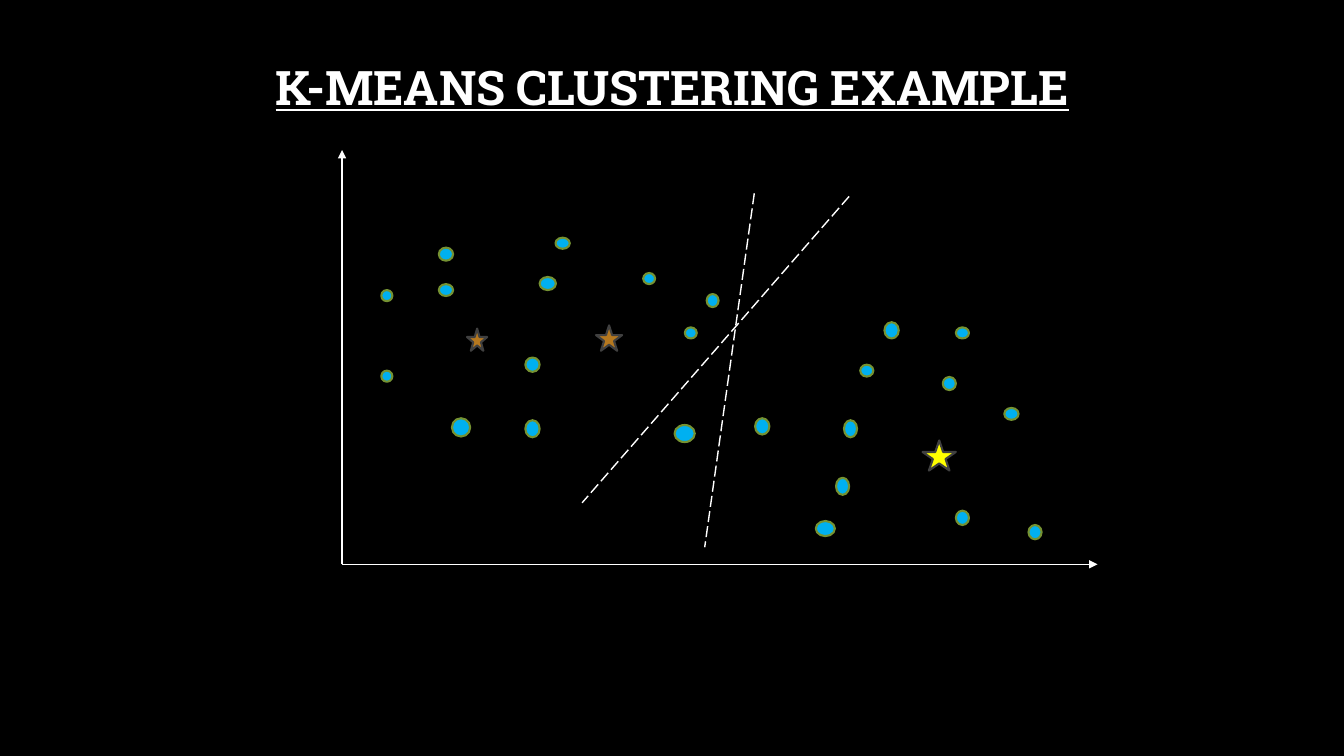
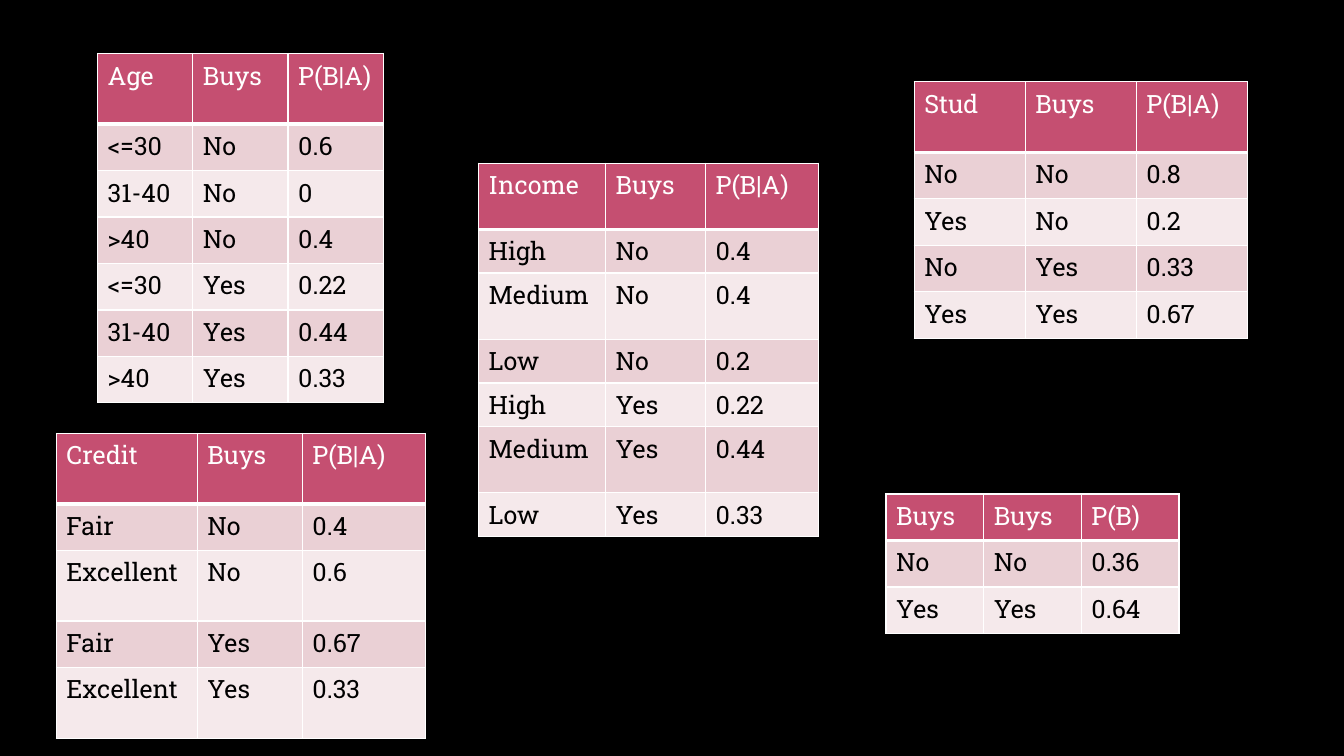
from lxml import etree
from pptx import Presentation
from pptx.dml.color import RGBColor
from pptx.enum.dml import MSO_LINE
from pptx.enum.shapes import MSO_CONNECTOR, MSO_SHAPE
from pptx.enum.text import MSO_ANCHOR, MSO_AUTO_SIZE, PP_ALIGN
from pptx.oxml.ns import qn
from pptx.util import Cm, Pt

STRAIGHT = MSO_CONNECTOR.STRAIGHT
OVAL, STAR = MSO_SHAPE.OVAL, MSO_SHAPE.STAR_5_POINT
LONG_DASH = MSO_LINE.LONG_DASH
MIDDLE, CENTER, NO_FIT = MSO_ANCHOR.MIDDLE, PP_ALIGN.CENTER, MSO_AUTO_SIZE.NONE
TITLE_ONLY, BLANK = 5, 6

FONT = "Roboto Slab"
COLORS = {
    "background": "000000", "light": "FFFFFF", "dark": "000000",
    "point": "00B0F0", "point_edge": "759232",
    "old_centroid": "B5781F", "centroid": "FFFF00", "centroid_edge": "404040",
    "header": "C54F71", "odd_row": "EAD0D5", "even_row": "F5E9EB",
}

# Scatter plot: lengths in cm from the top left corner of the plot box
PLOT_BOX = (8.62, 3.78, 19.04, 10.44)
POINTS = [  # left, top, width, height
    (2.44, 3.38, 0.36, 0.3), (4.98, 3.2, 0.41, 0.33), (7.59, 3.1, 0.3, 0.28),
    (2.77, 6.76, 0.46, 0.46), (0.99, 5.56, 0.28, 0.28), (4.62, 5.23, 0.36, 0.36),
    (0.99, 3.53, 0.28, 0.28), (5.38, 2.21, 0.36, 0.28), (2.44, 2.46, 0.36, 0.33),
    (8.64, 4.47, 0.3, 0.28), (13.06, 5.41, 0.33, 0.3), (15.14, 5.72, 0.33, 0.33),
    (12.45, 8.26, 0.33, 0.43), (12.65, 6.81, 0.33, 0.43), (15.47, 9.09, 0.33, 0.36),
    (16.69, 6.5, 0.36, 0.3), (17.3, 9.45, 0.33, 0.36), (13.67, 4.34, 0.36, 0.41),
    (11.94, 9.35, 0.48, 0.38), (15.47, 4.47, 0.33, 0.28), (8.38, 6.93, 0.51, 0.43),
    (9.19, 3.63, 0.3, 0.33), (4.62, 6.81, 0.36, 0.43), (10.41, 6.76, 0.36, 0.41),
]
CENTROIDS = [
    ("old_centroid", (3.15, 4.5, 0.51, 0.56)),
    ("centroid", (14.63, 7.32, 0.84, 0.76)),
    ("old_centroid", (6.4, 4.42, 0.66, 0.64)),
]
BOUNDARIES = [  # start x, start y, end x, end y
    (12.78, 1.17, 6.05, 8.89), (10.39, 1.09, 9.14, 10.01),
]

# Probability tables: corner, column widths, (tall, normal) row heights,
# indexes of the tall rows, cell text
PROBABILITY_TABLES = [
    ((2.46, 1.35), (2.4, 2.4, 2.4), (1.78, 1.17), {0}, [
        ("Age", "Buys", "P(B|A)"),
        ("<=30", "No", "0.6"), ("31-40", "No", "0"), (">40", "No", "0.4"),
        ("<=30", "Yes", "0.22"), ("31-40", "Yes", "0.44"), (">40", "Yes", "0.33")]),
    ((12.06, 4.11), (3.2, 2.52, 2.84), (1.67, 1.1), {0, 2, 5}, [
        ("Income", "Buys", "P(B|A)"),
        ("High", "No", "0.4"), ("Medium", "No", "0.4"), ("Low", "No", "0.2"),
        ("High", "Yes", "0.22"), ("Medium", "Yes", "0.44"), ("Low", "Yes", "0.33")]),
    ((23.04, 2.06), (2.8, 2.8, 2.8), (1.78, 1.17), {0}, [
        ("Stud", "Buys", "P(B|A)"),
        ("No", "No", "0.8"), ("Yes", "No", "0.2"),
        ("No", "Yes", "0.33"), ("Yes", "Yes", "0.67")]),
    ((1.42, 10.92), (3.55, 2.65, 3.1), (1.78, 1.17), {0, 2, 4}, [
        ("Credit", "Buys", "P(B|A)"),
        ("Fair", "No", "0.4"), ("Excellent", "No", "0.6"),
        ("Fair", "Yes", "0.67"), ("Excellent", "Yes", "0.33")]),
    ((22.33, 12.45), (2.46, 2.46, 2.46), (1.78, 1.17), set(), [
        ("Buys", "Buys", "P(B)"),
        ("No", "No", "0.36"), ("Yes", "Yes", "0.64")]),
]


def rgb(name):
    return RGBColor.from_string(COLORS[name])


def style_font(font, size, color):
    font.name = FONT
    font.size = Pt(size)
    font.color.rgb = rgb(color)


def set_title(slide, text, box):
    title = slide.shapes.title
    title.left, title.top, title.width, title.height = map(Cm, box)
    frame = title.text_frame
    frame.text = text
    frame.vertical_anchor = MIDDLE
    frame.auto_size = NO_FIT
    heading = frame.paragraphs[0]
    heading.alignment = CENTER
    heading.line_spacing = 0.9
    style_font(heading.font, 34, "light")
    heading.font.bold = heading.font.underline = True


def add_line(slide, ends, width, dash=None, arrow=False):
    line = slide.shapes.add_connector(STRAIGHT, *map(Cm, ends))
    line.line.color.rgb = rgb("light")
    line.line.width = Pt(width)
    if dash:
        line.line.dash_style = dash
    if arrow:
        etree.SubElement(line.line._get_or_add_ln(), qn("a:tailEnd"), type="triangle")
    etree.SubElement(line._element.spPr, qn("a:effectLst"))


def add_marker(slide, kind, box, fill, edge):
    marker = slide.shapes.add_shape(kind, *map(Cm, box))
    marker.shadow.inherit = False
    marker.fill.solid()
    marker.fill.fore_color.rgb = rgb(fill)
    marker.line.color.rgb = rgb(edge)
    marker.line.width = Pt(1.5)


def add_scatter(slide, box):
    left, top, width, height = box
    bottom = top + height

    def placed(x, y, w, h):
        return left + x, top + y, w, h

    # Axes
    add_line(slide, (left, bottom, left + width, bottom), 0.75, arrow=True)
    add_line(slide, (left, bottom, left, top), 0.75, arrow=True)
    # Data points
    for point in POINTS:
        add_marker(slide, OVAL, placed(*point), "point", "point_edge")
    # Cluster boundaries
    for x1, y1, x2, y2 in BOUNDARIES:
        add_line(slide, (left + x1, top + y1, left + x2, top + y2), 1, dash=LONG_DASH)
    # Centroids
    for color, centroid in CENTROIDS:
        add_marker(slide, STAR, placed(*centroid), color, "centroid_edge")


def add_borders(cell, bottom_width):
    properties = cell._tc.get_or_add_tcPr()
    for side, width in (("L", 1), ("R", 1), ("T", 1), ("B", bottom_width)):
        border = etree.SubElement(properties, qn(f"a:ln{side}"), w=str(Pt(width)))
        fill = etree.SubElement(border, qn("a:solidFill"))
        etree.SubElement(fill, qn("a:srgbClr"), val=COLORS["light"])


def add_probability_table(slide, corner, widths, heights, tall_rows, rows):
    tall, normal = heights
    row_heights = [tall if i in tall_rows else normal for i in range(len(rows))]
    size = sum(widths), sum(row_heights)
    table = slide.shapes.add_table(
        len(rows), len(widths), *map(Cm, corner + size)).table
    for column, width in zip(table.columns, widths):
        column.width = Cm(width)
    for i, values in enumerate(rows):
        table.rows[i].height = Cm(row_heights[i])
        is_header = i == 0
        band = "header" if is_header else "odd_row" if i % 2 else "even_row"
        for j, value in enumerate(values):
            cell = table.cell(i, j)
            cell.text = value
            add_borders(cell, 3 if is_header else 1)
            cell.fill.solid()
            cell.fill.fore_color.rgb = rgb(band)
            font = cell.text_frame.paragraphs[0].font
            style_font(font, 18, "light" if is_header else "dark")
            font.bold = False


def build_clustering_slide(prs):
    slide = prs.slides.add_slide(prs.slide_layouts[TITLE_ONLY])
    set_title(slide, "K-MEANS CLUSTERING EXAMPLE", (2.34, 1.02, 29.2, 2.5))
    add_scatter(slide, PLOT_BOX)


def build_probability_slide(prs):
    slide = prs.slides.add_slide(prs.slide_layouts[BLANK])
    for probability_table in PROBABILITY_TABLES:
        add_probability_table(slide, *probability_table)


def main():
    prs = Presentation()
    prs.slide_width, prs.slide_height = Cm(33.87), Cm(19.05)
    # Shared black background
    backdrop = prs.slide_master.background.fill
    backdrop.solid()
    backdrop.fore_color.rgb = rgb("background")
    build_clustering_slide(prs)
    build_probability_slide(prs)
    prs.save("out.pptx")


if __name__ == "__main__":
    main()
